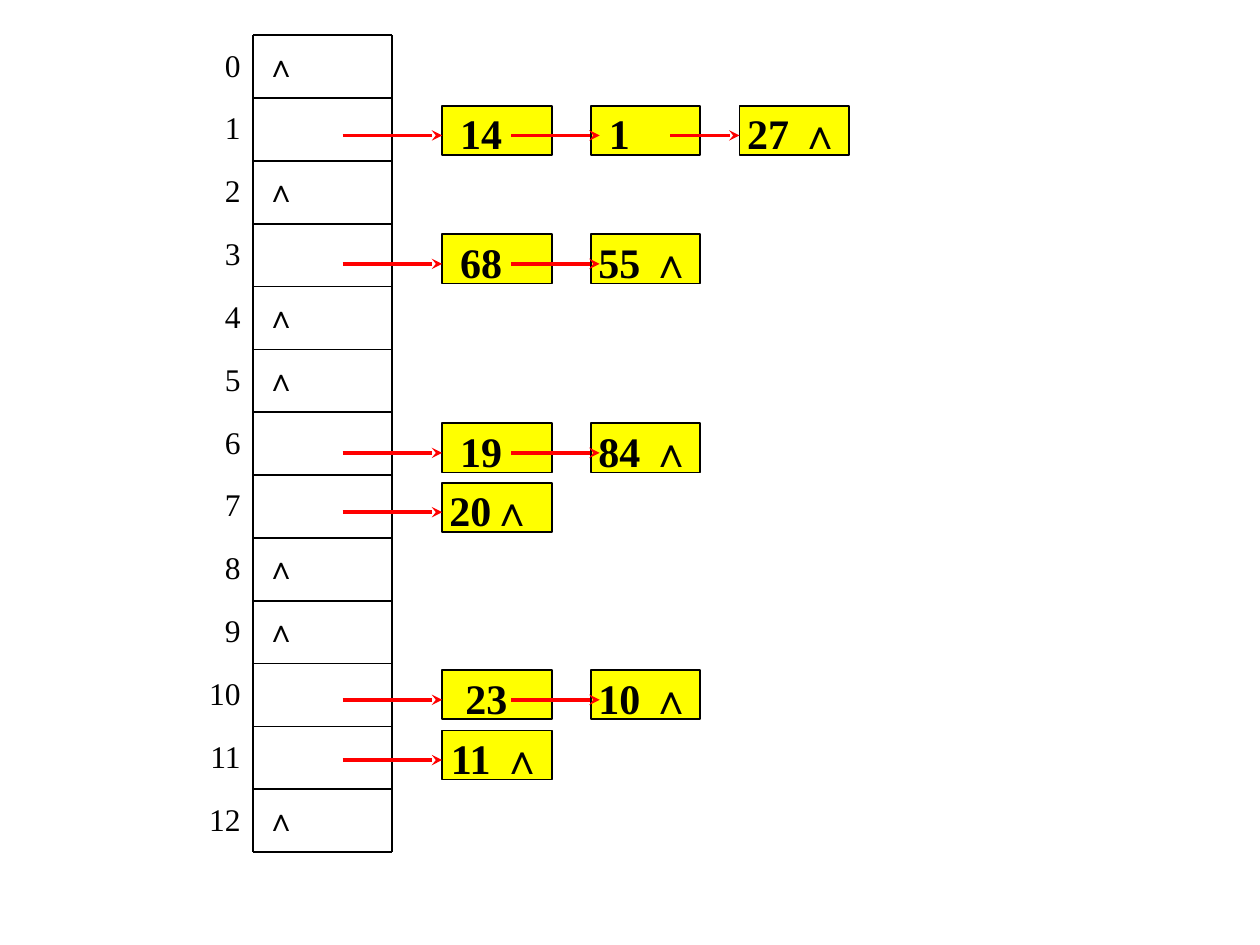
from lxml import etree
from pptx import Presentation
from pptx.dml.color import RGBColor
from pptx.enum import shapes, text
from pptx.oxml import ns
from pptx.util import Pt

FONT = "Times New Roman"
BLACK, YELLOW, RED = "000000", "FFFF00", "FF0000"
END = "∧"

BUCKET_COUNT = 13
CHAINS = {
    1: (60.5, ["14", "1", "27 ∧"]),
    3: (133.9, ["68", "55 ∧"]),
    6: (241.9, ["19", "84 ∧"]),
    7: (275.8, ["20∧"]),
    10: (383, ["23", "10 ∧"]),
    11: (417.4, ["11 ∧"]),
}
KEY_INDENT = 10.3
INDENTS = {"23": 13.3, "20∧": 4.1}

TABLE_LEFT, TABLE_TOP = 144.6, 20.2
CELL_W, CELL_H = 79.4, 35.9
NODE_LEFT, NODE_STEP = 252.7, 84.95
NODE_W, NODE_H = 62.6, 28.1
ARROW_SPANS = [(195.8, 252.7), (292.3, 342.7), (383, 422.6)]
ARROW_DROP = 16.9

prs = Presentation()
prs.slide_width, prs.slide_height = Pt(720), Pt(540)
slide = prs.slides.add_slide(prs.slide_layouts[6])


def rgb(value):
    return RGBColor.from_string(value)


def write(shape, words, size=18, bold=False, align=text.PP_ALIGN.LEFT,
          anchor=text.MSO_ANCHOR.TOP, insets=(7.2, 5.9, 7.2, 3.6)):
    frame = shape.text_frame
    frame.word_wrap = True
    frame.vertical_anchor = anchor
    (frame.margin_left, frame.margin_top,
     frame.margin_right, frame.margin_bottom) = map(Pt, insets)
    paragraph = frame.paragraphs[0]
    paragraph.alignment = align
    run = paragraph.add_run()
    run.text = words
    run.font.name = FONT
    run.font.size = Pt(size)
    run.font.bold = bold
    run.font.color.rgb = rgb(BLACK)


def add_cell_text(left, top, words, **style):
    box = slide.shapes.add_textbox(Pt(left), Pt(top), Pt(CELL_W), Pt(CELL_H))
    write(box, words, **style)


def add_line(x1, y1, x2, y2, color=BLACK, width=1, arrow=False):
    line = slide.shapes.add_connector(
        shapes.MSO_CONNECTOR.STRAIGHT, Pt(x1), Pt(y1), Pt(x2), Pt(y2))
    line.line.color.rgb = rgb(color)
    line.line.width = Pt(width)
    if arrow:
        etree.SubElement(line.line._get_or_add_ln(), ns.qn("a:tailEnd"), type="stealth")
    etree.SubElement(line._element.spPr, ns.qn("a:effectLst"))


def add_node(left, top, words):
    node = slide.shapes.add_shape(
        shapes.MSO_SHAPE.RECTANGLE, Pt(left), Pt(top), Pt(NODE_W), Pt(NODE_H))
    node.shadow.inherit = False
    node.fill.solid()
    node.fill.fore_color.rgb = rgb(YELLOW)
    node.line.color.rgb = rgb(BLACK)
    node.line.width = Pt(1)
    centred = words.endswith(" " + END)
    indent = 0 if centred else INDENTS.get(words, KEY_INDENT)
    write(node, words, size=24, bold=True,
          align=text.PP_ALIGN.CENTER if centred else text.PP_ALIGN.LEFT,
          anchor=text.MSO_ANCHOR.MIDDLE, insets=(indent, 3, 0, 0))


table_right = TABLE_LEFT + CELL_W
table_bottom = TABLE_TOP + BUCKET_COUNT * CELL_H

for bucket in range(BUCKET_COUNT):
    row_top = TABLE_TOP + bucket * CELL_H
    add_cell_text(TABLE_LEFT - CELL_W, row_top, str(bucket), align=text.PP_ALIGN.RIGHT)
    if bucket not in CHAINS:
        add_cell_text(TABLE_LEFT, row_top, END)

for edge in range(BUCKET_COUNT + 1):
    edge_y = TABLE_TOP + edge * CELL_H
    add_line(TABLE_LEFT, edge_y, table_right, edge_y)
for side_x in (TABLE_LEFT, table_right):
    add_line(side_x, TABLE_TOP, side_x, table_bottom)

for chain_top, keys in CHAINS.values():
    for position, key in enumerate(keys):
        add_node(NODE_LEFT + position * NODE_STEP, chain_top, key)
    arrow_y = chain_top + ARROW_DROP
    for (start, end), _ in zip(ARROW_SPANS, keys):
        add_line(start, arrow_y, end, arrow_y, color=RED, width=2, arrow=True)

prs.save("out.pptx")
